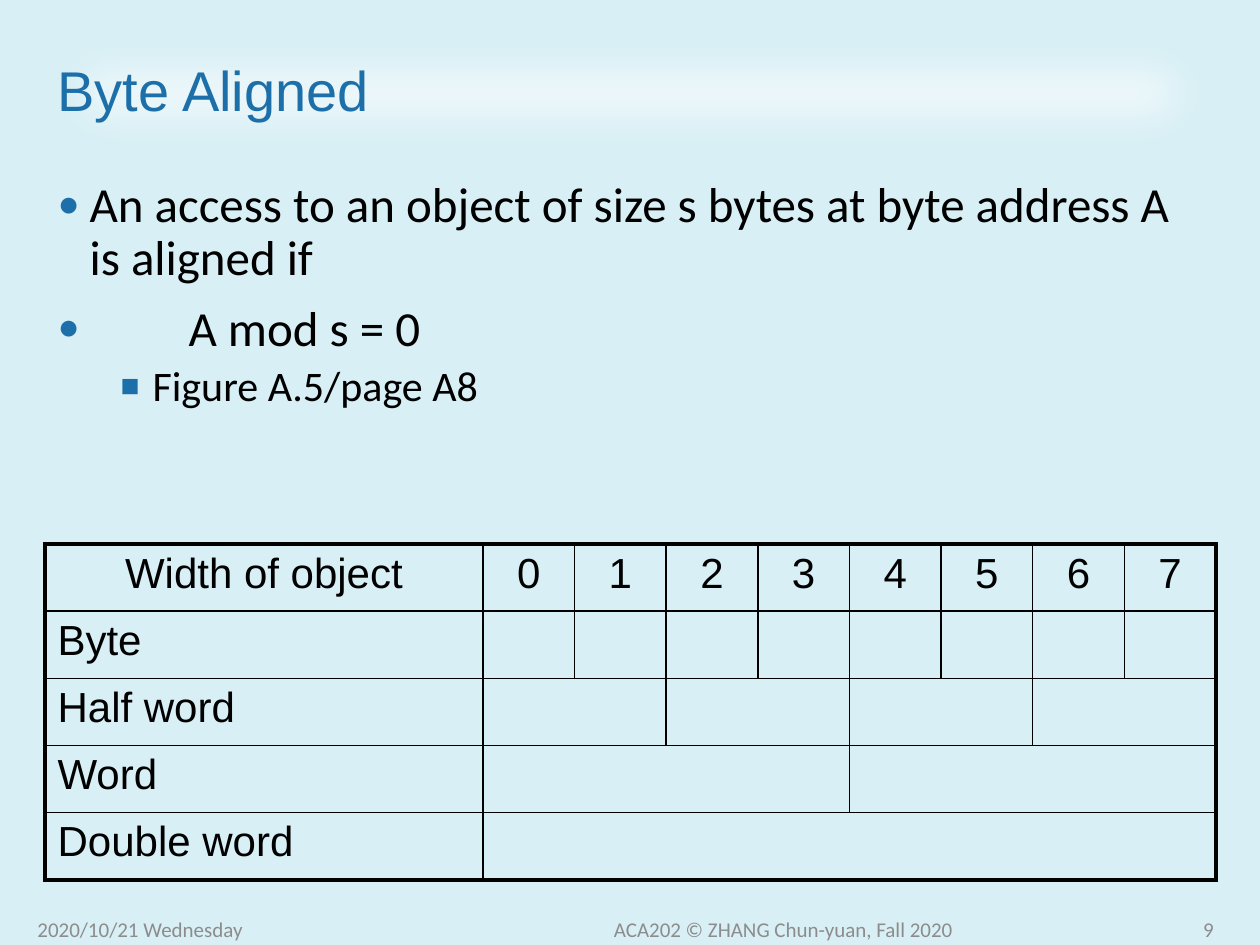
"""Build the Byte Aligned slide with its table of aligned object widths."""
from lxml import etree
from pptx import Presentation
from pptx.dml.color import RGBColor
from pptx.enum.text import MSO_ANCHOR, MSO_AUTO_SIZE, PP_ALIGN
from pptx.oxml import parse_xml
from pptx.oxml.ns import nsdecls, qn
from pptx.util import Pt

LEFT, MID, RIGHT = PP_ALIGN.LEFT, PP_ALIGN.CENTER, PP_ALIGN.RIGHT
CENTER, TOP = MSO_ANCHOR.MIDDLE, MSO_ANCHOR.TOP
FIXED = MSO_AUTO_SIZE.NONE
PX = 914400 / 126


class Theme:
    back, blue, ink, gray, white = "D7EFF5", "1D6FA9", "000000", "8C8C8C", "FFFFFF"
    head, lead, sub, cell, foot = 32, 28, 24, 24, 12
    sans, text = "Arial", "Calibri"
    thin, thick = 1, 2.25


def px(*sizes):
    return [round(size * PX) for size in sizes]


def write(para, text, size, color=Theme.ink, font=Theme.text, align=LEFT,
          line=None, before=0, bullet=None, hang=(0, 0)):
    para.alignment = align
    para.space_before = Pt(before)
    if line:
        para.line_spacing = line
    run = para.add_run()
    run.text = text
    run.font.size = Pt(size)
    run.font.name = font
    run.font.color.rgb = RGBColor.from_string(color)
    if bullet:
        props = para._p.get_or_add_pPr()
        margin, indent = px(*hang)
        props.set("marL", str(margin))
        props.set("indent", str(indent))
        tint = etree.SubElement(props, qn("a:buClr"))
        etree.SubElement(tint, qn("a:srgbClr"), val=Theme.blue)
        etree.SubElement(props, qn("a:buSzPct"), val="75000")
        etree.SubElement(props, qn("a:buChar"), char=bullet)


deck = Presentation()
deck.slide_width, deck.slide_height = px(1260, 945)
slide = deck.slides.add_slide(deck.slide_layouts[1])
slide.background.fill.solid()
slide.background.fill.fore_color.rgb = RGBColor.from_string(Theme.back)

# Table
LABELS = ["Byte", "Half word", "Word", "Double word"]
SPANS = [1, 1, 2, 4, 8]
rows = [["Width of object", *map(str, range(8))]]
rows += [[label] + [""] * 8 for label in LABELS]
table = slide.shapes.add_table(5, 9, *px(45, 544, 1171, 336)).table
table.first_row = table.horz_banding = False
first, rest, tall = px(438, 733, 336)
for c, col in enumerate(table.columns):
    col.width = rest // 8 if c else first
for r, row in enumerate(rows):
    table.rows[r].height = tall // 5
    span = SPANS[r]
    for c, text in enumerate(row):
        cell = table.cell(r, c)
        if text:
            write(cell.text_frame.paragraphs[0], text, Theme.cell,
                  font=Theme.sans, align=LEFT if r else MID)
        edges = {
            "L": Theme.thick if c == 0 else Theme.thin * ((c - 1) % span == 0),
            "R": Theme.thick if c == 8 else Theme.thin * (c % span == 0),
            "T": Theme.thin if r else Theme.thick,
            "B": Theme.thick if r == 4 else Theme.thin,
        }
        props = cell._tc.get_or_add_tcPr()
        for side, width in edges.items():
            edge = etree.SubElement(props, qn("a:ln" + side), w=str(Pt(width)))
            if width:
                fill = etree.SubElement(edge, qn("a:solidFill"))
                etree.SubElement(fill, qn("a:srgbClr"), val=Theme.ink)
            else:
                etree.SubElement(edge, qn("a:noFill"))
        cell.fill.background()

# Footer
FOOT = [
    ("2020/10/21 Wednesday", 25, 475, LEFT),
    ("ACA202 © ZHANG Chun-yuan, Fall 2020", 500, 567, MID),
    ("9", 1096, 130, RIGHT),
]
for text, left, width, align in FOOT:
    frame = slide.shapes.add_textbox(*px(left, 916, width, 27)).text_frame
    frame.word_wrap = True
    frame.vertical_anchor = CENTER
    write(frame.paragraphs[0], text, Theme.foot, color=Theme.gray, align=align)

# Title
title = slide.shapes.title
title.left, title.top, title.width, title.height = px(45, 31, 1171, 125)
title.fill.solid()
title.fill.fore_color.rgb = RGBColor.from_string(Theme.white)
shade = title._element.spPr.find(".//" + qn("a:srgbClr"))
etree.SubElement(shade, qn("a:alpha"), val="70000")
title._element.spPr.append(parse_xml(
    f'<a:effectLst {nsdecls("a")}><a:softEdge rad="317500"/></a:effectLst>'))
title.text_frame.auto_size = FIXED
title.text_frame.vertical_anchor = CENTER
write(title.text_frame.paragraphs[0], "Byte Aligned", Theme.head,
      color=Theme.blue, font=Theme.sans, line=0.9)

# Body
POINTS = [
    ("An access to an object of size s bytes at byte address A is aligned if",
     0, Theme.lead, 10, "●", (32, -32)),
    ("A mod s = 0", 0, Theme.lead, 10, "●", (131, -131)),
    ("Figure A.5/page A8", 1, Theme.sub, 5, "■", (95, -32)),
]
body = slide.placeholders[1]
body.left, body.top, body.width, body.height = px(45, 174, 1171, 355)
frame = body.text_frame
frame.auto_size = FIXED
frame.vertical_anchor = TOP
for i, (text, level, size, before, bullet, hang) in enumerate(POINTS):
    para = frame.add_paragraph() if i else frame.paragraphs[0]
    para.level = level
    write(para, text, size, line=0.9, before=before, bullet=bullet, hang=hang)

deck.save("out.pptx")
